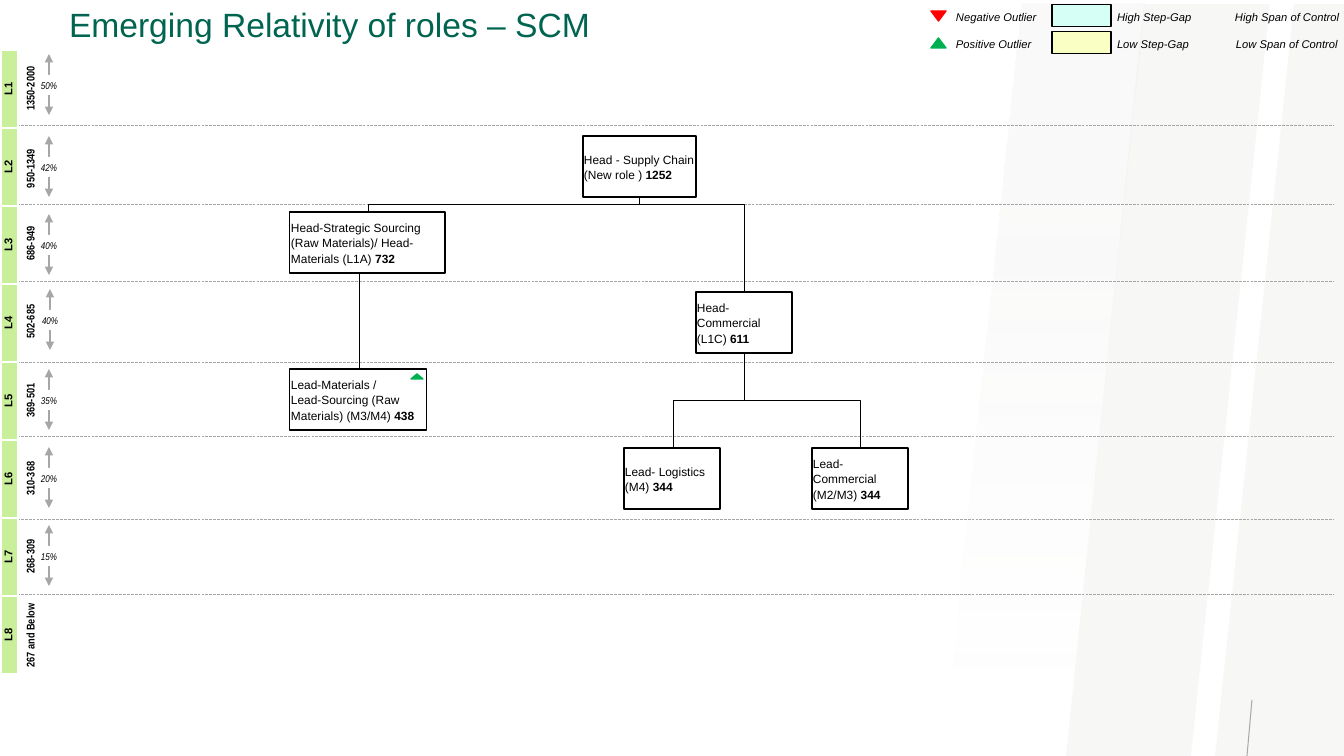
from lxml import etree
from pptx import Presentation
from pptx.dml.color import RGBColor
from pptx.enum.dml import MSO_LINE
from pptx.enum.shapes import MSO_CONNECTOR as CXN, MSO_SHAPE as SHP
from pptx.enum.text import MSO_ANCHOR as ANC, PP_ALIGN as AL
from pptx.oxml.ns import qn
from pptx.util import Pt

EMU_PER_PX = 914400 / 100.8
BLACK, WHITE, GREY, BAND = "000000", "FFFFFF", "A6A6A6", "DBD9D6"
GREEN, RED = "00B050", "FF0000"

# Level: range, range top, gap to next level, arrow x, arrow top
LEVELS = [
    ("1350-2000", 58, "50%", 49, 54),
    ("950-1349", 138, "42%", 49, 136),
    ("686-949", 213, "40%", 49, 214),
    ("502-685", 291, "40%", 50, 289),
    ("369-501", 370, "35%", 49, 369),
    ("310-368", 448, "20%", 49, 447),
    ("268-309", 526, "15%", 49, 525),
]
DIVIDERS = [125, 204, 281, 362, 436, 519, 594]

# Role: name, points, left, top, width
ROLES = [
    ("Head - Supply Chain (New role ) ", "1252", 583, 136, 113),
    ("Head-Strategic Sourcing (Raw Materials)/ Head-Materials (L1A) ", "732", 290, 212, 155),
    ("Head-Commercial (L1C) ", "611", 696, 292, 96),
    ("Lead-Materials /\vLead-Sourcing (Raw Materials) (M3/M4) ", "438", 290, 369, 137),
    ("Lead- Logistics (M4) ", "344", 624, 448, 96),
    ("Lead-Commercial (M2/M3) ", "344", 812, 448, 96),
]
# Reporting line: start, end, height of the crossbar
REPORTING = [
    ((639, 197), (368, 212), 204),
    ((639, 197), (744, 292), 204),
    ((744, 352), (673, 448), 400),
    ((744, 352), (860, 448), 400),
    ((368, 272), (359, 369), 273),
]
LEGEND = [
    ("Negative Outlier", 952, 5, 90), ("Positive Outlier", 952, 32, 85),
    ("High Step-Gap", 1113, 5, 84), ("Low Step-Gap", 1113, 32, 81),
    ("High Span of Control", 1231, 5, 113), ("Low Span of Control", 1232, 32, 111),
]


def px(n):
    return round(n * EMU_PER_PX)


def color(hex_):
    return RGBColor.from_string(hex_)


def add_text(tf, runs, size, font="Arial", hex_=BLACK, italic=False,
             align=AL.LEFT, spacing=1.1):
    p = tf.paragraphs[0]
    p.alignment, p.line_spacing = align, spacing
    for text, bold in runs:
        for i, part in enumerate(text.split("\v")):
            if i:
                p.add_line_break()
            r = p.add_run()
            r.text = part
            r.font.name, r.font.size = font, Pt(size)
            r.font.bold, r.font.italic = bold, italic
            r.font.color.rgb = color(hex_)


def set_frame(tf, insets=(0, 0, 0, 0), anchor=ANC.TOP, wrap=True):
    tf.margin_left, tf.margin_top, tf.margin_right, tf.margin_bottom = map(px, insets)
    tf.vertical_anchor, tf.word_wrap = anchor, wrap


def add_box(s, kind, x, y, w, h, fill=None, line=None, width=0.75):
    sp = s.shapes.add_shape(kind, px(x), px(y), px(w), px(h))
    sp.shadow.inherit = False
    if fill:
        sp.fill.solid()
        sp.fill.fore_color.rgb = color(fill)
    else:
        sp.fill.background()
    if line:
        sp.line.color.rgb = color(line)
        sp.line.width = Pt(width)
    else:
        sp.line.fill.background()
    return sp


def add_line(s, start, end, hex_, width, kind=CXN.STRAIGHT):
    c = s.shapes.add_connector(kind, *map(px, start + end))
    c.line.color.rgb = color(hex_)
    c.line.width = Pt(width)
    etree.SubElement(c._element.spPr, qn("a:effectLst"))
    return c


def add_elbow(s, start, end, bar_y):
    """Connector that leaves downwards, crosses at bar_y and arrives downwards."""
    (x1, y1), (x2, y2) = start, end
    cx, cy = (x1 + x2) / 2, (y1 + y2) / 2
    half_w, half_h = (y2 - y1) / 2, abs(x2 - x1) / 2
    side = 1 if x2 > x1 else -1
    c = add_line(s, (cx + side * half_w, cy - half_h), (cx - side * half_w, cy + half_h),
                 BLACK, 0.5, CXN.ELBOW)
    spPr = c._element.spPr
    spPr.find(qn("a:xfrm")).set("rot", str((270 if side > 0 else 90) * 60000))
    geom = spPr.find(qn("a:prstGeom"))
    av = geom.find(qn("a:avLst"))
    if av is None:
        av = etree.SubElement(geom, qn("a:avLst"))
    ratio = round((bar_y - y1) / (y2 - y1) * 100000)
    etree.SubElement(av, qn("a:gd"), name="adj1", fmla=f"val {ratio}")


def add_band(s, points, alphas):
    fb = s.shapes.build_freeform(*points[0], scale=EMU_PER_PX)
    fb.add_line_segments(points[1:])
    sp = fb.convert_to_shape()
    sp.shadow.inherit = False
    sp.line.fill.background()
    if len(alphas) == 1:
        sp.fill.solid()
        sp.fill.fore_color.rgb = color(BAND)
    else:
        sp.fill.gradient()
        sp.fill.gradient_angle = 270
        for stop, position in zip(sp.fill.gradient_stops, (0.2, 0.91)):
            stop.color.rgb, stop.position = color(BAND), position
    for clr, alpha in zip(sp._element.spPr.iter(qn("a:srgbClr")), alphas):
        etree.SubElement(clr, qn("a:alpha"), val=str(alpha * 1000))


def add_arrow(s, x, y):
    c = add_line(s, (x, y), (x, y + 61), GREY, 1)
    ln = c.line._get_or_add_ln()
    for end in ("a:headEnd", "a:tailEnd"):
        etree.SubElement(ln, qn(end), type="triangle")


def add_range(s, text, x, y, w, h):
    tf = add_box(s, SHP.FLOWCHART_PROCESS, x, y, w, h).text_frame
    set_frame(tf, (2, 0, 0, 0), ANC.MIDDLE)
    tf._txBody.bodyPr.set("vert", "vert270")
    add_text(tf, [(text, True)], 8, "Arial Narrow", align=AL.CENTER)


def add_levels(s, count):
    frame = s.shapes.add_table(count, 1, px(1), px(50), px(17), px(78 * count))
    table = frame.table
    table.first_row = table.horz_banding = False
    for i, row in enumerate(table.rows):
        row.height = px(78)
        cell = row.cells[0]
        cell.margin_left = cell.margin_right = cell.margin_top = cell.margin_bottom = 0
        cell.vertical_anchor = ANC.MIDDLE
        add_text(cell.text_frame, [(f"L{i + 1}", True)], 8, align=AL.CENTER)
        tcPr = cell._tc.get_or_add_tcPr()
        tcPr.set("vert", "vert270")
        for edge in ("a:lnL", "a:lnR", "a:lnT", "a:lnB"):
            ln = etree.SubElement(tcPr, qn(edge), w=str(Pt(1.5)))
            etree.SubElement(etree.SubElement(ln, qn("a:solidFill")), qn("a:srgbClr"), val=WHITE)
        cell.fill.solid()
        cell.fill.fore_color.rgb = color("CAEF9B")


def main():
    prs = Presentation()
    prs.slide_width, prs.slide_height = px(1344), px(756)
    s = prs.slides.add_slide(prs.slide_layouts[6])

    # Background bands
    add_line(s, (1252, 700), (1247, 756), "9F9E9D", 0.75)
    add_band(s, [(1294, 4), (1344, 4), (1344, 756), (1215, 756)], [20])
    add_band(s, [(1144, 4), (1270, 4), (1191, 756), (1066, 756)], [20])
    add_band(s, [(1022, 4), (1144, 4), (1065, 756), (943, 756)], [15, 0])

    # Title
    tf = s.shapes.add_textbox(px(69), px(8), px(1159), px(36)).text_frame
    set_frame(tf)
    add_text(tf, [("Emerging Relativity of roles – SCM", False)], 24, hex_="006550", spacing=0.9)

    # Level scale
    for y in DIVIDERS:
        add_line(s, (13, y), (1334, y), GREY, 0.25).line.dash_style = MSO_LINE.LONG_DASH
    add_levels(s, len(LEVELS) + 1)
    for points, top, gap, x, arrow_top in LEVELS:
        add_range(s, points, 19, top, 19, 61)
        add_arrow(s, x, arrow_top)
        tf = add_box(s, SHP.RECTANGLE, x - 12, arrow_top + 21, 24, 20, WHITE).text_frame
        set_frame(tf, (4, 4, 4, 4))
        add_text(tf, [(gap, False)], 7, "Arial Narrow", italic=True)
    add_range(s, "267 and Below", 22, 598, 13, 75)

    # Roles and reporting lines
    for name, points, x, y, w in ROLES:
        tf = add_box(s, SHP.FLOWCHART_PROCESS, x, y, w, 61, line=BLACK).text_frame
        set_frame(tf, (1, 0, 1, 0), ANC.MIDDLE)
        add_text(tf, [(name, False), (points, True)], 8.5)
    for start, end, bar_y in REPORTING:
        add_elbow(s, start, end, bar_y)
    add_box(s, SHP.ISOSCELES_TRIANGLE, 411, 374, 12, 5, GREEN, GREEN, 1)

    # Legend
    add_box(s, SHP.ISOSCELES_TRIANGLE, 931, 11, 15, 10, RED, RED, 1).rotation = 180
    add_box(s, SHP.ISOSCELES_TRIANGLE, 931, 38, 15, 10, GREEN, GREEN, 1)
    add_box(s, SHP.FLOWCHART_PROCESS, 1052, 5, 59, 22, "D6FFF6", BLACK)
    add_box(s, SHP.FLOWCHART_PROCESS, 1052, 32, 59, 22, "FAFFC4", BLACK)
    for label, x, y, w in LEGEND:
        tf = s.shapes.add_textbox(px(x), px(y), px(w), px(22)).text_frame
        set_frame(tf, (4, 4, 4, 4), wrap=False)
        add_text(tf, [(label, False)], 8, italic=True)

    prs.save("out.pptx")


if __name__ == "__main__":
    main()
